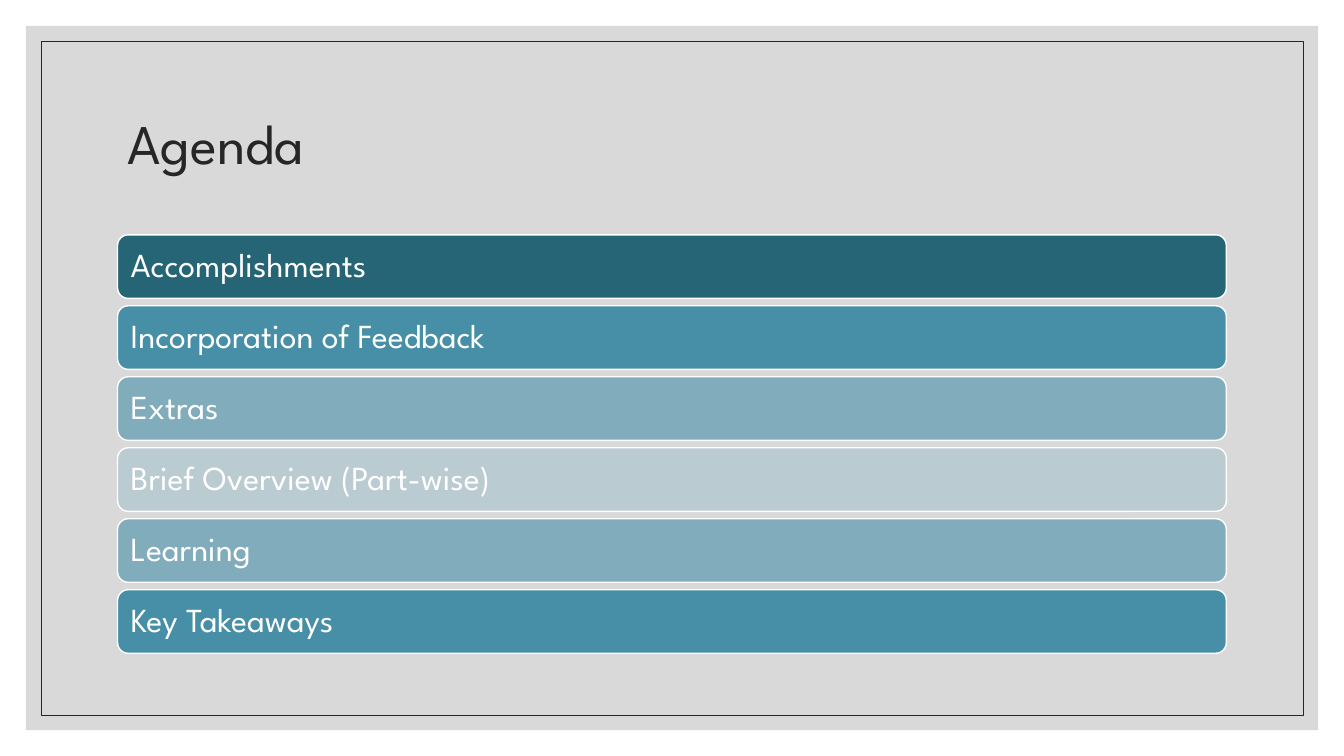
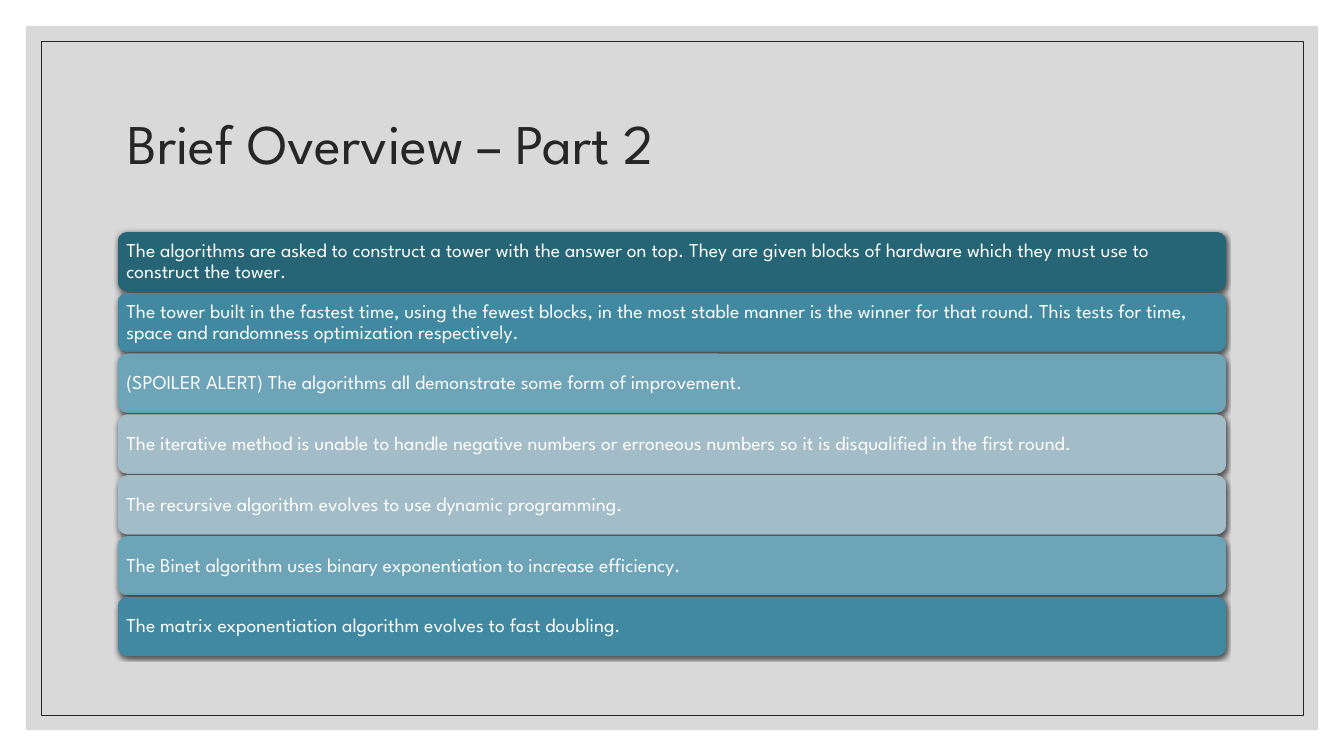
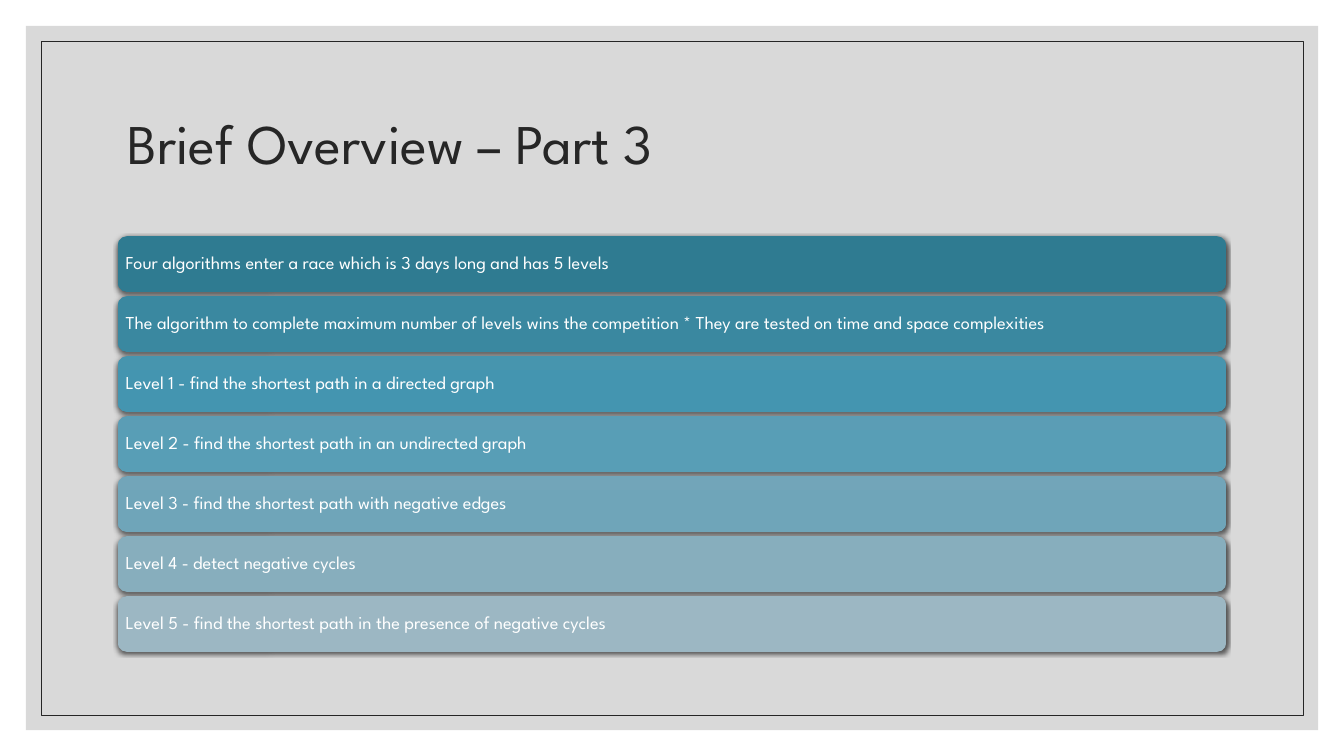
from lxml.etree import SubElement
from pptx import Presentation
from pptx.dml.color import RGBColor
from pptx.enum.shapes import MSO_SHAPE as Shape
from pptx.enum.text import MSO_ANCHOR as Anchor, PP_ALIGN as Align
from pptx.oxml.ns import qn
from pptx.util import Pt

FONT = "League Spartan"
WHITE = RGBColor(0xFF, 0xFF, 0xFF)
GREY = RGBColor(0xD9, 0xD9, 0xD9)
INK = RGBColor(0x26, 0x26, 0x26)

# Bar colours of the agenda
DEEP = RGBColor(0x26, 0x65, 0x76)
MID = RGBColor(0x46, 0x8F, 0xA7)
SOFT = RGBColor(0x81, 0xAC, 0xBC)
PALE = RGBColor(0xBB, 0xCB, 0xD2)

# Upper and lower bar colours of part 2
TOWER_DEEP = (RGBColor(0x26, 0x65, 0x76), RGBColor(0x24, 0x65, 0x78))
TOWER_MID = (RGBColor(0x41, 0x89, 0xA1), RGBColor(0x3E, 0x89, 0xA2))
TOWER_SOFT = (RGBColor(0x6E, 0xA4, 0xB8), RGBColor(0x6C, 0xA4, 0xB9))
TOWER_PALE = (RGBColor(0xA3, 0xBD, 0xC8), RGBColor(0xA1, 0xBC, 0xC8))

# Upper and lower bar colours of part 3, dark to light
RACE_1 = (RGBColor(0x2F, 0x7B, 0x91), RGBColor(0x2D, 0x7C, 0x93))
RACE_2 = (RGBColor(0x3A, 0x88, 0xA0), RGBColor(0x38, 0x89, 0xA2))
RACE_3 = (RGBColor(0x47, 0x95, 0xAE), RGBColor(0x44, 0x95, 0xB0))
RACE_4 = (RGBColor(0x5B, 0x9D, 0xB5), RGBColor(0x58, 0x9E, 0xB6))
RACE_5 = (RGBColor(0x72, 0xA5, 0xB9), RGBColor(0x6F, 0xA5, 0xB9))
RACE_6 = (RGBColor(0x87, 0xAE, 0xBD), RGBColor(0x85, 0xAE, 0xBE))
RACE_7 = (RGBColor(0x9C, 0xB7, 0xC3), RGBColor(0x9A, 0xB7, 0xC3))


class Deck:
    WIDTH, HEIGHT = 960, 540
    LEFT, CONTENT_WIDTH = 84, 792
    BARS_MIDDLE = 317.2

    def __init__(self):
        self.prs = Presentation()
        self.prs.slide_width, self.prs.slide_height = Pt(self.WIDTH), Pt(self.HEIGHT)
        self.slide = None

    def new_slide(self, title):
        self.slide = self.prs.slides.add_slide(self.prs.slide_layouts[6])
        # Grey page with a thin inner frame
        page = self.panel(Shape.RECTANGLE, 18.5, 18.5, self.WIDTH - 37, self.HEIGHT - 37)
        page.fill.solid()
        page.fill.fore_color.rgb = GREY
        frame = self.panel(Shape.RECTANGLE, 29.3, 29.3, self.WIDTH - 58.6, self.HEIGHT - 58.6)
        frame.fill.background()
        self.outline(frame, INK, 0.5)
        # Title
        heading = self.slide.shapes.add_textbox(
            Pt(self.LEFT), Pt(50.4), Pt(self.CONTENT_WIDTH), Pt(108))
        self.label(heading, title, 40, INK)

    def panel(self, kind, left, top, width, height):
        panel = self.slide.shapes.add_shape(kind, Pt(left), Pt(top), Pt(width), Pt(height))
        panel.shadow.inherit = False
        panel.line.fill.background()
        return panel

    def outline(self, panel, color, width):
        panel.line.color.rgb = color
        panel.line.width = Pt(width)

    def label(self, holder, text, size, color, inset=None):
        frame = holder.text_frame
        frame.word_wrap = True
        frame.vertical_anchor = Anchor.MIDDLE
        if inset is not None:
            frame.margin_left = frame.margin_right = Pt(inset)
            frame.margin_top = frame.margin_bottom = Pt(inset)
        frame.text = text
        paragraph = frame.paragraphs[0]
        paragraph.alignment = Align.LEFT
        paragraph.line_spacing = 0.9
        font = paragraph.runs[0].font
        font.name, font.size, font.color.rgb = FONT, Pt(size), color

    def cast_shadow(self, panel):
        effects = panel._element.spPr.find(qn("a:effectLst"))
        shadow = SubElement(effects, qn("a:outerShdw"), blurRad=str(Pt(3)),
                            dist=str(Pt(1)), dir="5400000", algn="ctr", rotWithShape="0")
        black = SubElement(shadow, qn("a:srgbClr"), val="000000")
        SubElement(black, qn("a:alpha"), val="63000")

    def shade(self, panel, colors):
        panel.fill.gradient()
        panel.fill.gradient_angle = 270
        for stop, color, position in zip(panel.fill.gradient_stops, colors, (0, 0.5)):
            stop.color.rgb = color
            stop.position = position

    def bars(self, entries, height, gap, size):
        """Stack bars around the body's middle; a colour pair gives a shaded bar."""
        pitch = height + gap
        top = self.BARS_MIDDLE - (len(entries) * pitch - gap) / 2
        for row, (text, color) in enumerate(entries):
            bar = self.panel(Shape.ROUNDED_RECTANGLE, self.LEFT, top + row * pitch,
                             self.CONTENT_WIDTH, height)
            if isinstance(color, RGBColor):
                bar.fill.solid()
                bar.fill.fore_color.rgb = color
                self.outline(bar, WHITE, 1)
            else:
                self.shade(bar, color)
                self.cast_shadow(bar)
            self.label(bar, text, size, WHITE, inset=size * 0.3)


def main():
    deck = Deck()

    # Agenda
    deck.new_slide("Agenda")
    deck.bars([
        ("Accomplishments", DEEP),
        ("Incorporation of Feedback", MID),
        ("Extras", SOFT),
        ("Brief Overview (Part-wise)", PALE),
        ("Learning", SOFT),
        ("Key Takeaways", MID),
    ], height=45.4, gap=5.3, size=24)

    # Part 2: the tower
    deck.new_slide("Brief Overview – Part 2")
    deck.bars([
        ("The algorithms are asked to construct a tower with the answer on top. They are "
         "given blocks of hardware which they must use to construct the tower.", TOWER_DEEP),
        ("The tower built in the fastest time, using the fewest blocks, in the most stable "
         "manner is the winner for that round. This tests for time, space and randomness "
         "optimization respectively.", TOWER_MID),
        ("(SPOILER ALERT) The algorithms all demonstrate some form of improvement.",
         TOWER_SOFT),
        ("The iterative method is unable to handle negative numbers or erroneous numbers so "
         "it is disqualified in the first round.", TOWER_PALE),
        ("The recursive algorithm evolves to use dynamic programming.", TOWER_PALE),
        ("The Binet algorithm uses binary exponentiation to increase efficiency.", TOWER_SOFT),
        ("The matrix exponentiation algorithm evolves to fast doubling.", TOWER_MID),
    ], height=42.5, gap=0.95, size=14)

    # Part 3: the race
    deck.new_slide("Brief Overview – Part 3")
    deck.bars([
        ("Four algorithms enter a race which is 3 days long and has 5 levels", RACE_1),
        ("The algorithm to complete maximum number of levels wins the competition * They are "
         "tested on time and space complexities", RACE_2),
        ("Level 1 - find the shortest path in a directed graph", RACE_3),
        ("Level 2 - find the shortest path in an undirected graph", RACE_4),
        ("Level 3 - find the shortest path with negative edges", RACE_5),
        ("Level 4 - detect negative cycles", RACE_6),
        ("Level 5 - find the shortest path in the presence of negative cycles", RACE_7),
    ], height=39.8, gap=3.05, size=13)

    deck.prs.save("out.pptx")


if __name__ == "__main__":
    main()
